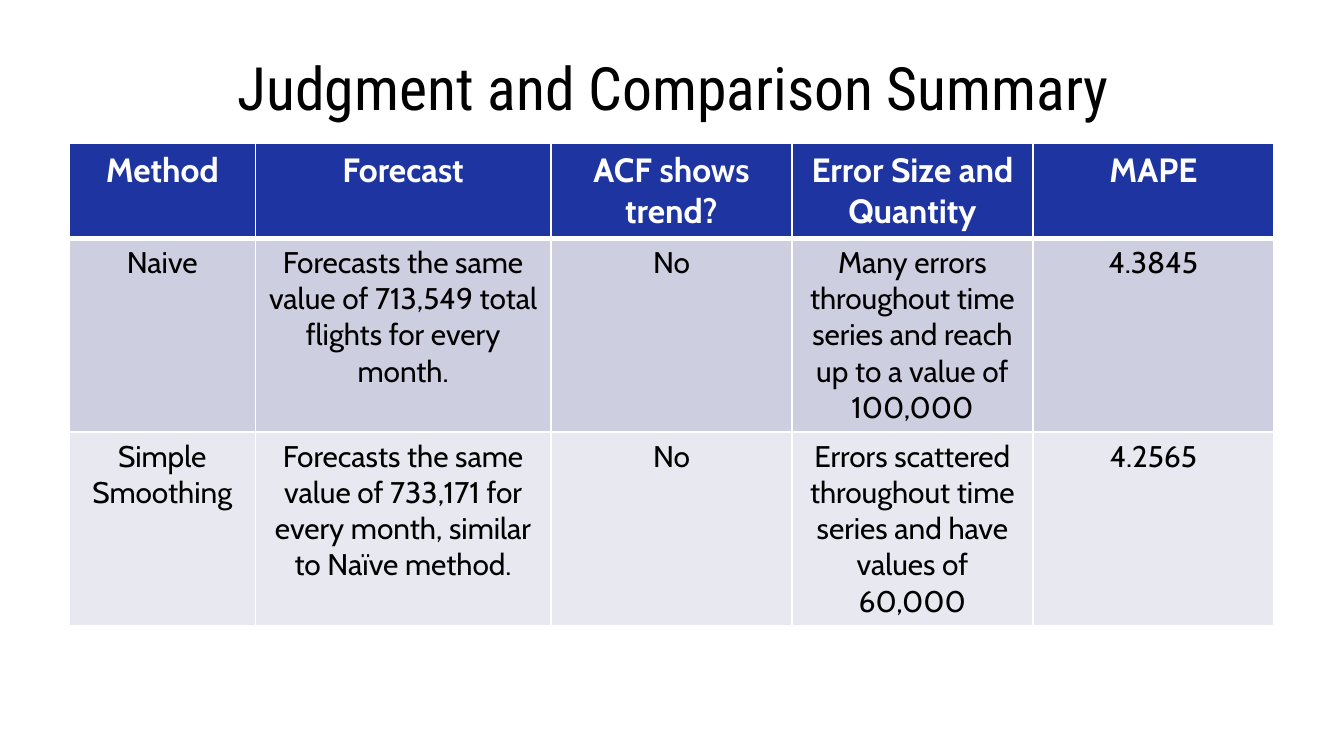
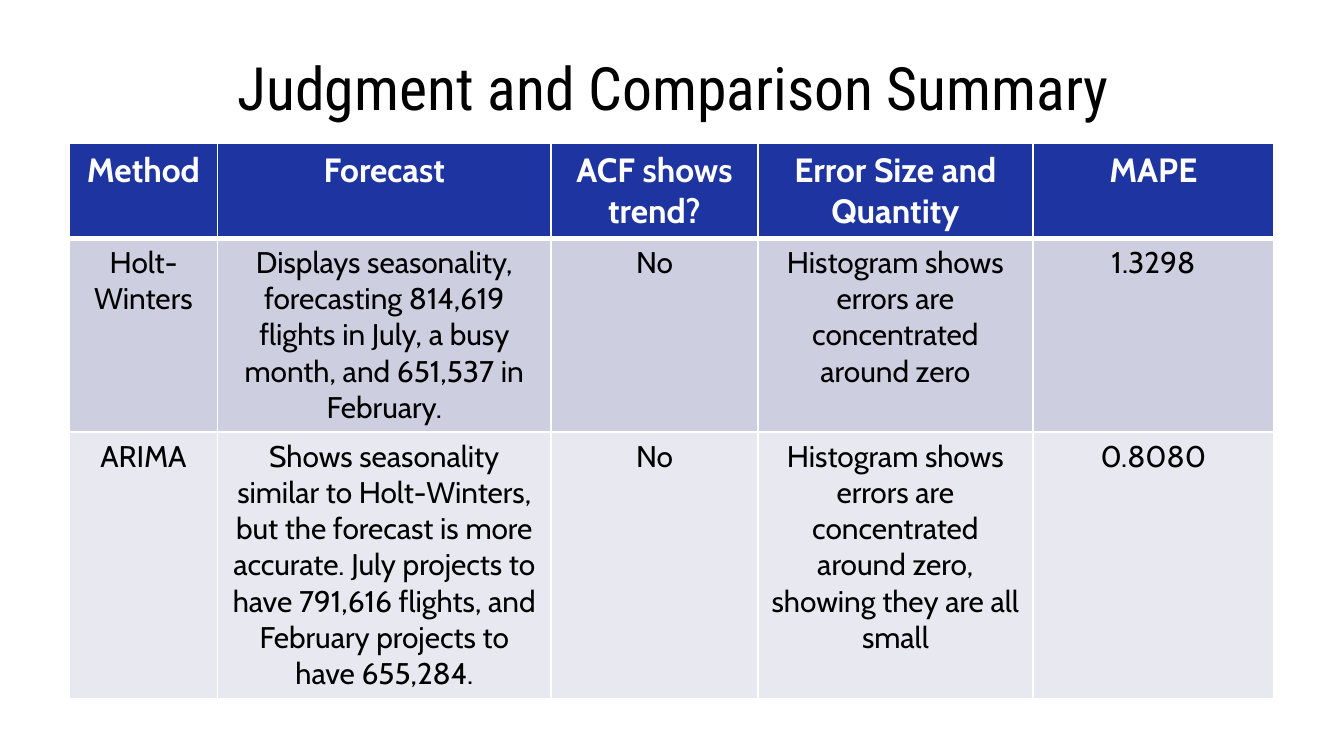
from dataclasses import dataclass

import pptx
import pptx.dml.color
import pptx.enum.text
import pptx.oxml
import pptx.oxml.ns
import pptx.util


@dataclass(frozen=True)
class Theme:
    title_font: str = "Roboto Condensed"
    table_font: str = "Cabin"
    title_size: int = 32
    header_size: int = 18
    body_size: int = 16
    dark: str = "000000"
    light: str = "FFFFFF"
    row_fills: tuple = ("1E35A1", "CDCEE0", "E8E8F0")
    thin_line: int = 1
    thick_line: int = 3


def style_text(paragraph, font_name, size, color, bold=False):
    paragraph.alignment = pptx.enum.text.PP_ALIGN.CENTER
    for span in paragraph.runs:
        span.font.name = font_name
        span.font.size = pptx.util.Pt(size)
        span.font.bold = bold
        span.font.color.rgb = pptx.dml.color.RGBColor.from_string(color)


def add_border(cell, side, width, color):
    """Draw one side (L, R, T or B, in that order) before the cell is filled."""
    properties = cell._tc.get_or_add_tcPr()
    properties.append(pptx.oxml.parse_xml(
        f'<a:ln{side} {pptx.oxml.ns.nsdecls("a")} w="{pptx.util.Pt(width)}">'
        f'<a:solidFill><a:srgbClr val="{color}"/></a:solidFill></a:ln{side}>'))


theme = Theme()
title_text = "Judgment and Comparison Summary"
header = ["Method", "Forecast", "ACF shows trend?", "Error Size and Quantity", "MAPE"]

# Column widths are percentages of the slide width, heights of the slide height.
summaries = [
    {
        "columns": [13.85, 22, 17.93, 17.93, 17.93],
        "height": 73.1,
        "rows": [
            ["Naive",
             "Forecasts the same value of 713,549 total flights for every month.",
             "No",
             "Many errors throughout time series and reach up to a value of 100,000",
             "4.3845"],
            ["Simple Smoothing",
             "Forecasts the same value of 733,171 for every month, similar to Naïve method.",
             "No",
             "Errors scattered throughout time series and have values of 60,000",
             "4.2565"],
        ],
    },
    {
        "columns": [11.05, 24.8, 15.4, 20.46, 17.93],
        "height": 77.7,
        "rows": [
            ["Holt-Winters",
             "Displays seasonality, forecasting 814,619 flights in July, a busy month, "
             "and 651,537 in February.",
             "No",
             "Histogram shows errors are concentrated around zero",
             "1.3298"],
            ["ARIMA",
             "Shows seasonality similar to Holt-Winters, but the forecast is more accurate. "
             "July projects to have 791,616 flights, and February projects to have 655,284.",
             "No",
             "Histogram shows errors are concentrated around zero, showing they are all small",
             "0.8080"],
        ],
    },
]
row_heights = [12.6, 20.1, 20.1]

deck = pptx.Presentation()
deck.slide_width = pptx.util.Inches(10)
deck.slide_height = pptx.util.Inches(5.625)
across = deck.slide_width / 100
down = deck.slide_height / 100
title_only = deck.slide_layouts[5]

for summary in summaries:
    page = deck.slides.add_slide(title_only)

    title = page.shapes.title
    title.left, title.top = int(5.3 * across), int(7.3 * down)
    title.width, title.height = int(89.7 * across), int(9.4 * down)
    frame = title.text_frame
    frame.text = title_text
    frame.auto_size = pptx.enum.text.MSO_AUTO_SIZE.NONE
    frame.vertical_anchor = pptx.enum.text.MSO_ANCHOR.MIDDLE
    frame.margin_left = frame.margin_right = pptx.util.Inches(0.1)
    frame.margin_top = frame.margin_bottom = pptx.util.Inches(0.1)
    frame.paragraphs[0].line_spacing = 0.9
    style_text(frame.paragraphs[0], theme.title_font, theme.title_size, theme.dark)

    rows = [header] + summary["rows"]
    table_shape = page.shapes.add_table(
        len(rows), len(header), int(5.15 * across), int(18.9 * down),
        int(sum(summary["columns"]) * across), int(sum(row_heights) * down))
    table = table_shape.table
    table.horz_banding = False
    for column, width in zip(table.columns, summary["columns"]):
        column.width = int(width * across)
    for row, height in zip(table.rows, row_heights):
        row.height = int(height * down)
    table_shape.height = int(summary["height"] * down)

    for row_index, texts in enumerate(rows):
        is_header = row_index == 0
        size = theme.header_size if is_header else theme.body_size
        color = theme.light if is_header else theme.dark
        top_line = theme.thick_line if row_index == 1 else theme.thin_line
        bottom_line = theme.thick_line if is_header else theme.thin_line
        borders = {"L": theme.thin_line, "R": theme.thin_line,
                   "T": top_line, "B": bottom_line}
        for column_index, text in enumerate(texts):
            cell = table.cell(row_index, column_index)
            cell.text_frame.text = text
            style_text(cell.text_frame.paragraphs[0], theme.table_font, size, color, is_header)
            for side, width in borders.items():
                add_border(cell, side, width, theme.light)
            cell.fill.solid()
            cell.fill.fore_color.rgb = pptx.dml.color.RGBColor.from_string(
                theme.row_fills[row_index])

deck.save("out.pptx")
